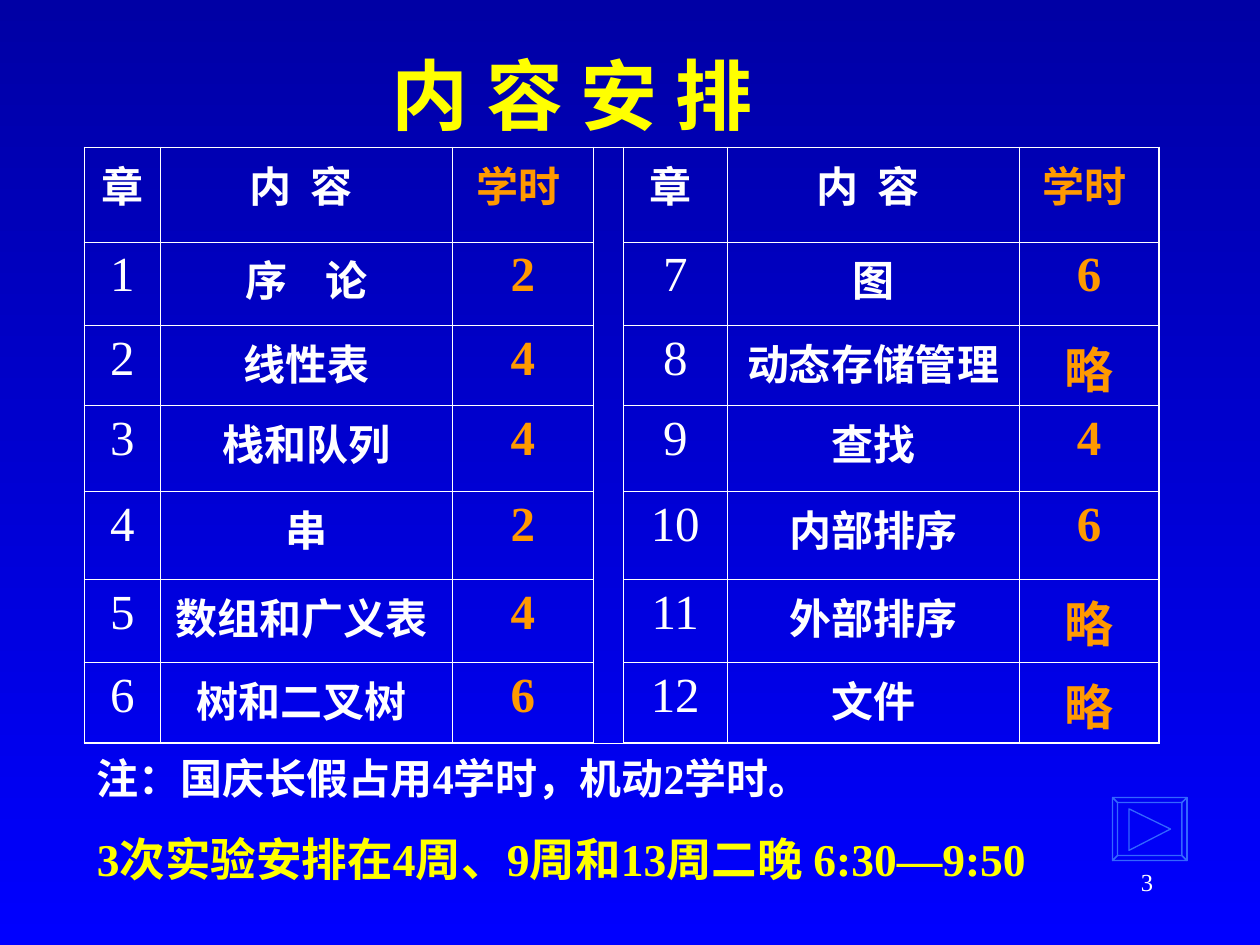
"""Build the course schedule slide with its chapter table."""
from lxml.etree import SubElement as Sub
from pptx import Presentation
from pptx.dml.color import RGBColor
from pptx.enum.text import MSO_ANCHOR as Anchor, PP_ALIGN as Align
from pptx.oxml.ns import qn
from pptx.util import Inches, Pt

WHITE = RGBColor(0xFF, 0xFF, 0xFF)
YELLOW = RGBColor(0xFF, 0xFF, 0x00)
ORANGE = RGBColor(0xFF, 0x99, 0x00)
BLUE = RGBColor(0x33, 0x66, 0xFF)
DARK = RGBColor(0x00, 0x00, 0xA5)
DEEP = RGBColor(0x00, 0x00, 0xFF)


def write(para, text, size, color, bold=True, align=Align.LEFT):
    para.alignment = align
    run = para.add_run()
    run.text = text
    font = run.font
    font.name = "Times New Roman"
    font.size = Pt(size)
    font.bold = bold
    font.color.rgb = color


def add_box(left, top, width, height):
    frame = slide.shapes.add_textbox(
        Inches(left), Inches(top), Inches(width), Inches(height)).text_frame
    frame.word_wrap = True
    return frame


deck = Presentation()
deck.slide_width, deck.slide_height = Inches(10), Inches(7.5)
slide = deck.slides.add_slide(deck.slide_layouts[6])
back = slide.background.fill
back.gradient()
back.gradient_angle = 270
for stop, color, place in zip(back.gradient_stops, (DARK, DEEP), (0, 1)):
    stop.color.rgb = color
    stop.position = place

page = add_box(7.17, 6.83, 2.08, 0.5)
write(page.paragraphs[0], "3", 14, WHITE, False, Align.RIGHT)

title = add_box(2.58, 0.33, 3.92, 0.83)
title.vertical_anchor = Anchor.MIDDLE
write(title.paragraphs[0], "内 容 安 排", 44, YELLOW, align=Align.CENTER)

ROWS = [
    ("章", "内  容 ", "学时 ", "", "章 ", "内  容 ", "学时 "),
    ("1", "序    论", "2", "", "7", "图", "6"),
    ("2", "线性表", "4", "", "8", "动态存储管理", "略"),
    ("3", "栈和队列", "4", "", "9", "查找", "4"),
    ("4", "串", "2", "", "10", "内部排序", "6"),
    ("5", "数组和广义表 ", "4", "", "11", "外部排序", "略"),
    ("6", "树和二叉树 ", "6", "", "12", "文件", "略"),
]
WIDTHS = [0.6, 2.32, 1.12, 0.24, 0.82, 2.32, 1.11]
HEIGHTS = [0.75, 0.66, 0.64, 0.68, 0.7, 0.66, 0.64]
GAP = 3
LAST = 6
THIN, THICK = Pt(0.45), Pt(1.08)

table = slide.shapes.add_table(
    len(ROWS), len(WIDTHS), Inches(0.67), Inches(1.17),
    Inches(sum(WIDTHS)), Inches(sum(HEIGHTS))).table
table.first_row = table.horz_banding = False
for col, width in zip(table.columns, WIDTHS):
    col.width = Inches(width)
for row, height in zip(table.rows, HEIGHTS):
    row.height = Inches(height)
table.cell(0, GAP).merge(table.cell(LAST, GAP))

for r, texts in enumerate(ROWS):
    for c, text in enumerate(texts):
        cell = table.cell(r, c)
        props = cell._tc.get_or_add_tcPr()
        outer = {"L": c == 0, "R": c == LAST, "T": r == 0, "B": r == LAST}
        for side, edge in outer.items():
            line = Sub(props, qn(f"a:ln{side}"), w=str(THICK if edge else THIN))
            Sub(Sub(line, qn("a:solidFill")), qn("a:srgbClr"), val=str(WHITE))
        cell.fill.background()
        if c == GAP:
            continue
        topic = c in (1, 5)
        hours = c in (2, LAST)
        write(cell.text_frame.paragraphs[0], text,
              24 if r == 0 or topic else 28,
              ORANGE if hours else WHITE,
              r == 0 or topic or hours, Align.CENTER)

x1, y1, x2, y2 = 8.83, 6.33, 9.42, 6.83
RIM = 0.04
outside = [(x1, y1), (x2, y1), (x2, y2), (x1, y2)]
inside = [(x1 + RIM, y1 + RIM), (x2 - RIM, y1 + RIM),
          (x2 - RIM, y2 - RIM), (x1 + RIM, y2 - RIM)]
loops = [outside]
for i in range(4):
    j = (i + 1) % 4
    loops.append([outside[i], outside[j], inside[j], inside[i]])
loops.append([(8.96, 6.42), (9.29, 6.58), (8.96, 6.75)])
pen = slide.shapes.build_freeform(
    Inches(x1), Inches(y1))
for n, loop in enumerate(loops):
    pts = [(Inches(x), Inches(y)) for x, y in loop]
    if n:
        pen.move_to(*pts[0])
    pen.add_line_segments(pts[1:], close=True)
button = pen.convert_to_shape()
button.shadow.inherit = False
button.fill.background()
button.line.color.rgb = BLUE
button.line.width = Pt(0.75)

note = add_box(0.67, 5.92, 7.83, 1.59)
write(note.paragraphs[0], "注：国庆长假占用4学时，机动2学时。", 24, WHITE)
labs = note.add_paragraph()
labs.space_before = Pt(16.2)
write(labs, "3次实验安排在4周、9周和13周二晚 6:30—9:50", 26, YELLOW)

deck.save("out.pptx")
